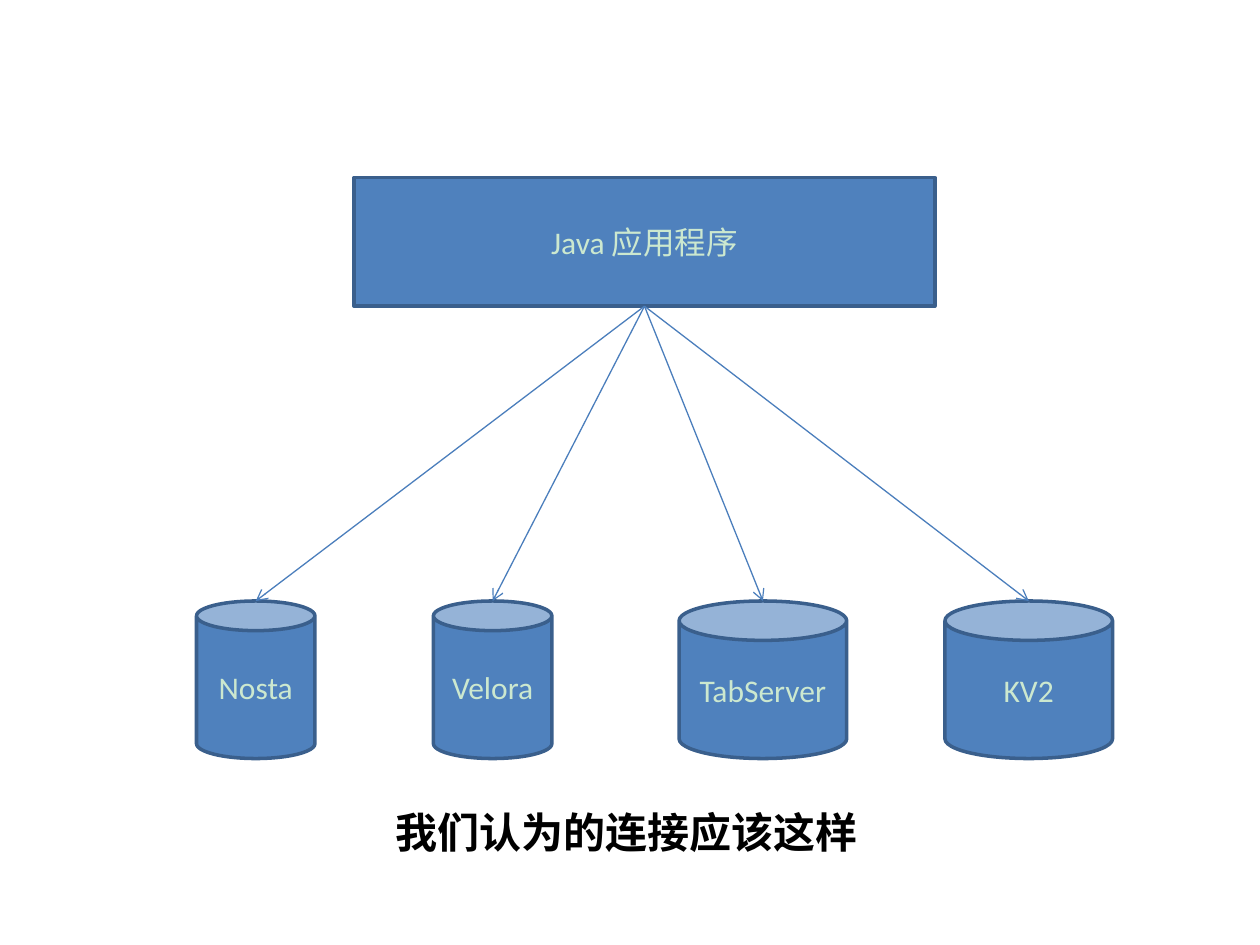
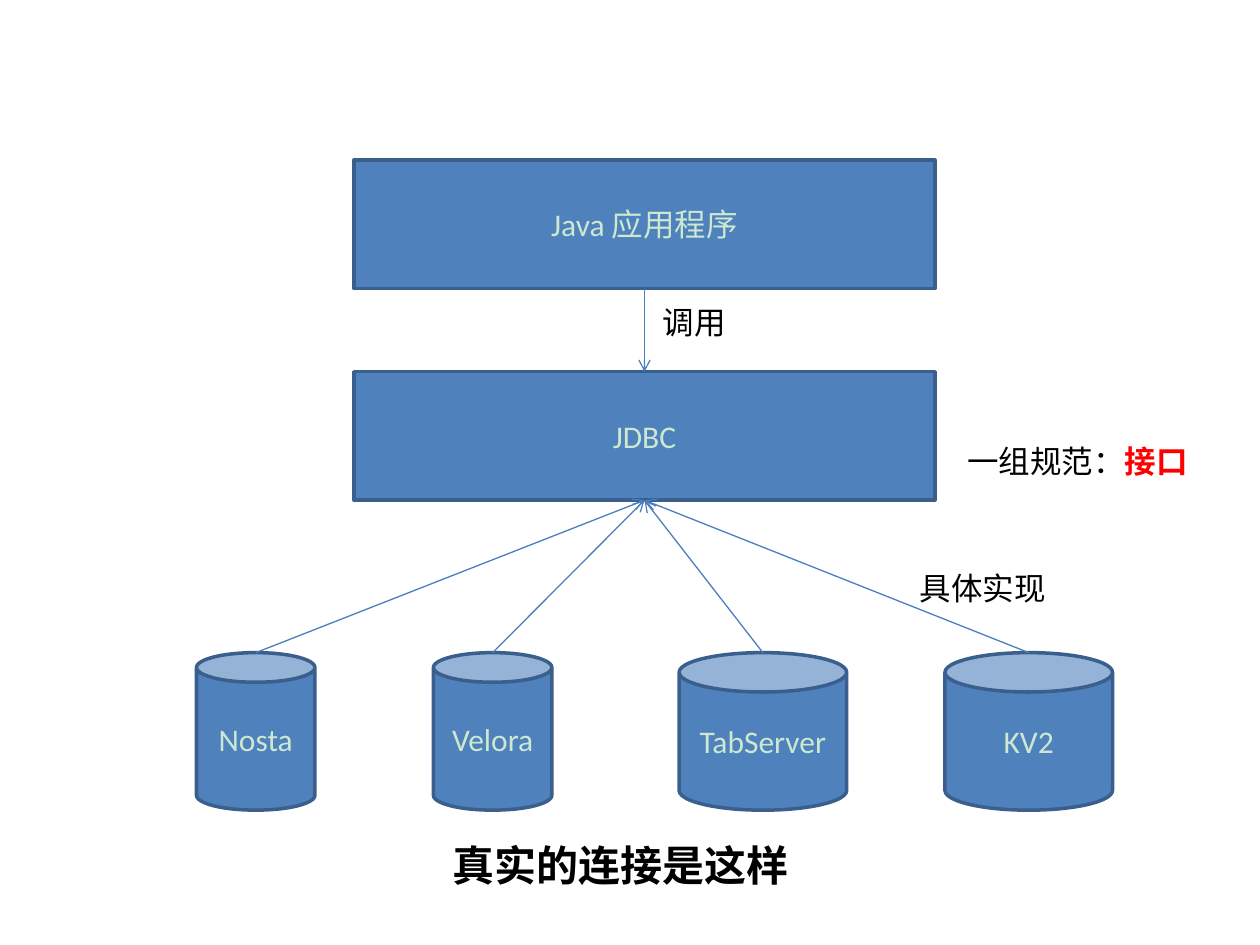
from lxml import etree
from pptx import Presentation
from pptx.dml.color import RGBColor
from pptx.enum.shapes import MSO_CONNECTOR, MSO_SHAPE
from pptx.enum.text import MSO_ANCHOR, MSO_AUTO_SIZE, PP_ALIGN
from pptx.oxml.ns import qn
from pptx.util import Inches, Pt

BLUE = RGBColor(0x4F, 0x81, 0xBD)
OUTLINE = RGBColor(0x3A, 0x5F, 0x8C)
ARROW = RGBColor(0x4B, 0x7E, 0xBC)
PALE_GREEN = RGBColor(0xCC, 0xE8, 0xCF)
BLACK = RGBColor(0, 0, 0)
RED = RGBColor(0xFF, 0, 0)
WHITE = RGBColor(0xFF, 0xFF, 0xFF)

LATIN_FONT = "Calibri"
CHINESE_FONT = "Noto Sans CJK SC"

LAYER_LEFT, LAYER_WIDTH, LAYER_HEIGHT = 2.81, 4.61, 1.02
DATABASE_HEIGHT = 1.25
# Name, left, width
DATABASES = [
    ("Nosta", 1.56, 0.94),
    ("Velora", 3.44, 0.94),
    ("TabServer", 5.39, 1.33),
    ("KV2", 7.5, 1.33),
]


def format_run(run, size, color, bold=False, font=LATIN_FONT):
    run.font.name = font
    run.font.size = Pt(size)
    run.font.bold = bold
    run.font.color.rgb = color
    east_asian = etree.SubElement(run.font._element, qn("a:ea"))
    east_asian.set("typeface", CHINESE_FONT)


def add_block(slide, kind, text, left, top, width, height):
    """Blue shape with centred text."""
    shape = slide.shapes.add_shape(
        kind, Inches(left), Inches(top), Inches(width), Inches(height))
    shape.shadow.inherit = False
    shape.fill.solid()
    shape.fill.fore_color.rgb = BLUE
    shape.line.color.rgb = OUTLINE
    shape.line.width = Pt(2)
    text_frame = shape.text_frame
    text_frame.text = text
    text_frame.vertical_anchor = MSO_ANCHOR.MIDDLE
    paragraph = text_frame.paragraphs[0]
    paragraph.alignment = PP_ALIGN.CENTER
    format_run(paragraph.runs[0], 18, PALE_GREEN)
    return shape


def add_layer(slide, text, top):
    return add_block(slide, MSO_SHAPE.RECTANGLE, text,
                     LAYER_LEFT, top, LAYER_WIDTH, LAYER_HEIGHT)


def add_databases(slide, top):
    return [add_block(slide, MSO_SHAPE.CAN, name, left, top, width, DATABASE_HEIGHT)
            for name, left, width in DATABASES]


def top_middle(shape):
    return shape.left + shape.width // 2, shape.top


def bottom_middle(shape):
    return shape.left + shape.width // 2, shape.top + shape.height


def add_arrow(slide, start, end):
    connector = slide.shapes.add_connector(MSO_CONNECTOR.STRAIGHT, *start, *end)
    connector.line.color.rgb = ARROW
    connector.line.width = Pt(0.75)
    line = connector.line._get_or_add_ln()
    etree.SubElement(line, qn("a:tailEnd")).set("type", "arrow")
    etree.SubElement(connector._element.spPr, qn("a:effectLst"))
    return connector


def add_text(slide, parts, left, top, width, height, size=18, font=LATIN_FONT):
    """Text box; parts are (text, colour, bold)."""
    box = slide.shapes.add_textbox(
        Inches(left), Inches(top), Inches(width), Inches(height))
    text_frame = box.text_frame
    text_frame.word_wrap = True
    text_frame.auto_size = MSO_AUTO_SIZE.SHAPE_TO_FIT_TEXT
    for text, color, bold in parts:
        run = text_frame.paragraphs[0].add_run()
        run.text = text
        format_run(run, size, color, bold, font)


def add_caption(slide, text, left, top, width):
    add_text(slide, [(text, BLACK, True)], left, top, width, 0.5, 24, CHINESE_FONT)


def add_slide(presentation):
    slide = presentation.slides.add_slide(presentation.slide_layouts[6])
    slide.background.fill.solid()
    slide.background.fill.fore_color.rgb = WHITE
    return slide


def build_expected_slide(presentation):
    slide = add_slide(presentation)
    application = add_layer(slide, "Java 应用程序", 1.41)
    # The application reaches each database directly
    for database in add_databases(slide, 4.77):
        arrow = add_arrow(slide, bottom_middle(application), top_middle(database))
        arrow.begin_connect(application, 2)
    add_caption(slide, "我们认为的连接应该这样", 3.04, 6.35, 4.16)


def build_actual_slide(presentation):
    slide = add_slide(presentation)
    jdbc = add_layer(slide, "JDBC", 2.95)
    databases = add_databases(slide, 5.18)
    application = add_layer(slide, "Java 应用程序", 1.27)

    # The application calls JDBC, the databases implement it
    call = add_arrow(slide, bottom_middle(application), top_middle(jdbc))
    call.begin_connect(application, 2)
    call.end_connect(jdbc, 0)
    for database in databases:
        arrow = add_arrow(slide, top_middle(database), bottom_middle(jdbc))
        arrow.end_connect(jdbc, 2)

    # Labels
    add_text(slide, [("调用", BLACK, False)], 5.16, 2.36, 1.25, 0.4)
    add_text(slide, [("具体实现", BLACK, False)], 7.2, 4.47, 1.25, 0.4)
    add_text(slide, [("一组规范：", BLACK, False), ("接口", RED, True)],
             7.58, 3.46, 2.03, 0.4)
    add_caption(slide, "真实的连接是这样", 3.49, 6.61, 3.02)


def main():
    presentation = Presentation()
    presentation.slide_width = Inches(10)
    presentation.slide_height = Inches(7.5)
    build_expected_slide(presentation)
    build_actual_slide(presentation)
    presentation.save("out.pptx")


if __name__ == "__main__":
    main()
